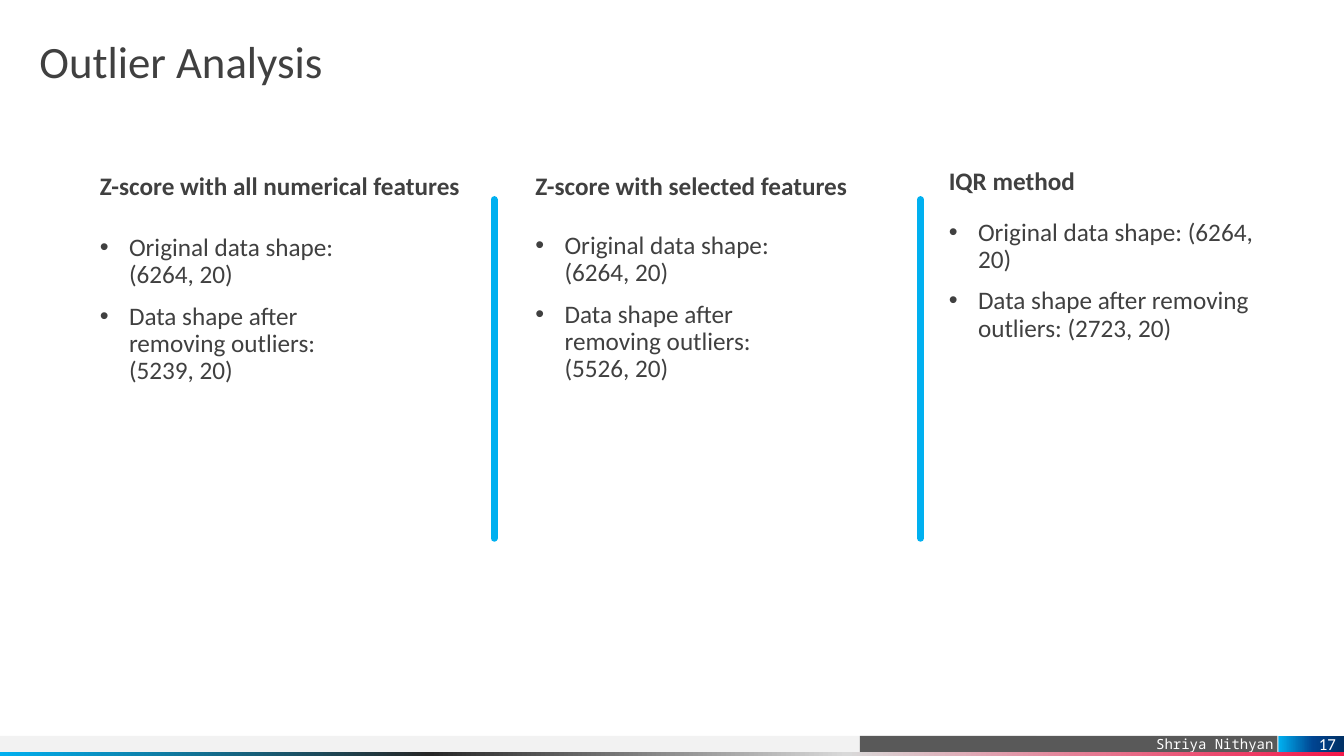
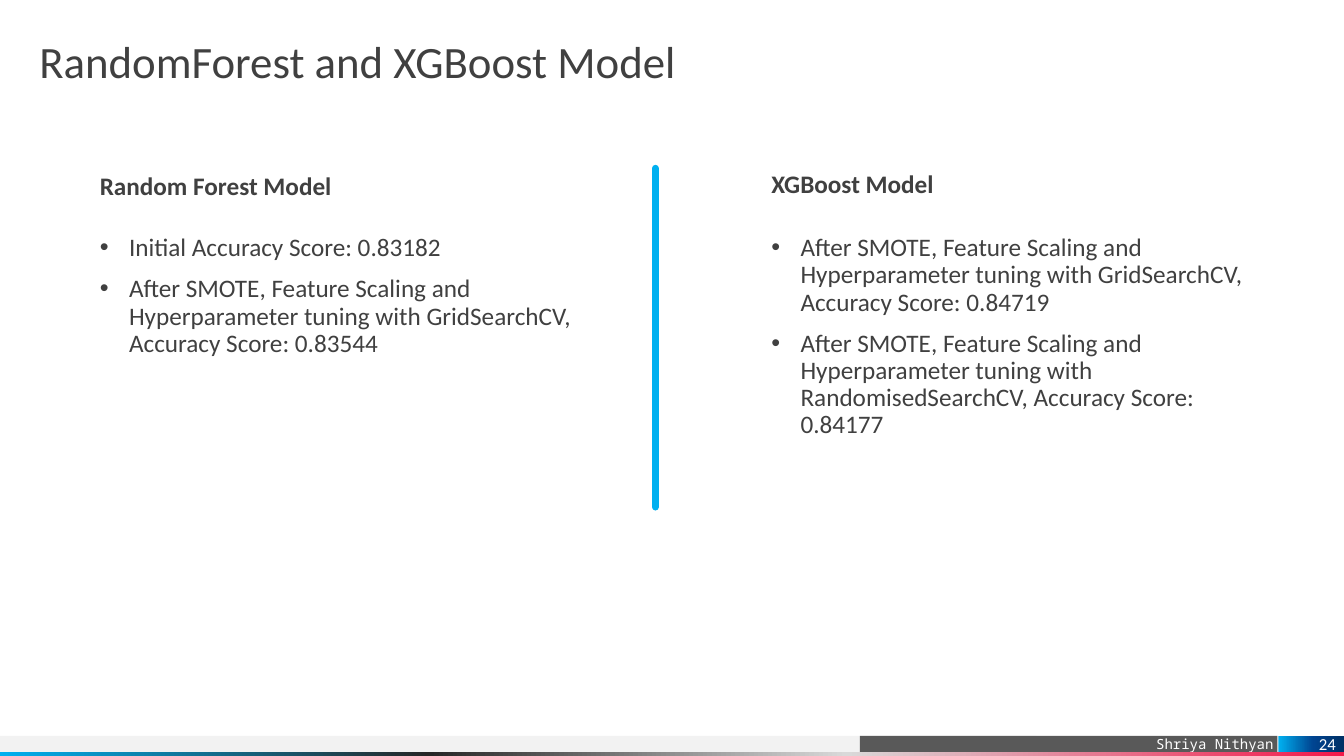
import dataclasses
from typing import Any

import lxml.etree
import pptx
import pptx.dml.color
import pptx.enum.shapes
import pptx.enum.text
import pptx.oxml.ns
import pptx.presentation
import pptx.shapes.autoshape
import pptx.slide
import pptx.text.text
import pptx.util

Inches = pptx.util.Inches
Pt = pptx.util.Pt
qn = pptx.oxml.ns.qn
Align = pptx.enum.text.PP_ALIGN
Anchor = pptx.enum.text.MSO_ANCHOR
Box = tuple[float, float, float, float]
Stops = tuple[tuple[int, str], ...]


@dataclasses.dataclass(frozen=True)
class Theme:
    font: str = "Calibri"
    mono: str = "Noto Sans Mono"
    text: str = "404040"
    white: str = "FFFFFF"
    accent: str = "00B0F0"
    light_band: str = "F2F2F2"
    dark_band: str = "595959"
    title_size: int = 32
    body_size: int = 18
    number_size: int = 12
    footer_size: int = 10
    rule_width: int = 5
    indent: float = 0.29
    strip: Stops = ((0, "00B0F0"), (32, "262626"), (63, "D9D9D9"), (100, "F2194A"))
    badge: Stops = ((0, "00B0F0"), (53, "004490"), (100, "003065"))


@dataclasses.dataclass(frozen=True)
class Column:
    heading: str
    bullets: tuple[str, ...]
    left: float
    heading_top: float
    heading_width: float
    body_top: float
    body_width: float
    body_height: float = 3.36


@dataclasses.dataclass(frozen=True)
class Page:
    title: str
    number: int
    columns: tuple[Column, ...]
    rules: tuple[float, ...]
    rule_top: float


THEME = Theme()
AUTHOR = "Shriya Nithyan"
RULE_HEIGHT = 3.36
BAND_TOP, BAND_HEIGHT = 7.3, 0.16
TUNED = "After SMOTE, Feature Scaling and Hyperparameter tuning with {}, Accuracy Score: {}"


def shape_bullets(rows: int) -> tuple[str, ...]:
    return (
        "Original data shape: (6264, 20)",
        f"Data shape after removing outliers: ({rows}, 20)",
    )


PAGES = (
    Page(
        "Outlier Analysis",
        17,
        (
            Column("Z-score with all numerical features", shape_bullets(5239),
                   0.99, 1.72, 3.7, 2.33, 2.47),
            Column("Z-score with selected features", shape_bullets(5526),
                   5.31, 1.72, 3.7, 2.31, 2.47),
            Column("IQR method", shape_bullets(2723),
                   9.41, 1.67, 3.18, 2.18, 3.18, 4.16),
        ),
        (4.9, 9.13),
        1.98,
    ),
    Page(
        "RandomForest and XGBoost Model",
        24,
        (
            Column("Random Forest Model",
                   ("Initial Accuracy Score: 0.83182", TUNED.format("GridSearchCV", "0.83544")),
                   0.99, 1.72, 3.7, 2.33, 4.96),
            Column("XGBoost Model",
                   (TUNED.format("GridSearchCV", "0.84719"),
                    TUNED.format("RandomisedSearchCV", "0.84177")),
                   7.65, 1.7, 4.83, 2.33, 4.96),
        ),
        (6.5,),
        1.67,
    ),
)


def rgb(value: str) -> pptx.dml.color.RGBColor:
    return pptx.dml.color.RGBColor.from_string(value)


def apply(target: Any, values: dict[str, Any]) -> None:
    for name, value in values.items():
        setattr(target, name, value)


def place(box: Box) -> dict[str, int]:
    return dict(zip(("left", "top", "width", "height"), map(Inches, box)))


def set_frame(tf: pptx.text.text.TextFrame, anchor: Anchor = Anchor.TOP,
              left: float = 0, right: float = 0) -> None:
    apply(tf, {
        "word_wrap": True,
        "auto_size": pptx.enum.text.MSO_AUTO_SIZE.NONE,
        "vertical_anchor": anchor,
        "margin_left": Inches(left),
        "margin_right": Inches(right),
        "margin_top": 0,
        "margin_bottom": 0,
    })


def write(p: Any, text: str, size: int, color: str = THEME.text, font: str = THEME.font,
          bold: bool = False, **layout: Any) -> None:
    apply(p, {"alignment": Align.LEFT} | layout)
    r = p.add_run()
    r.text = text
    apply(r.font, {"name": font, "size": Pt(size), "bold": bold})
    r.font.color.rgb = rgb(color)


def add_bullet(p: Any) -> None:
    pPr = p._p.get_or_add_pPr()
    pPr.set("marL", str(Inches(THEME.indent)))
    pPr.set("indent", str(-Inches(THEME.indent)))
    lxml.etree.SubElement(pPr, qn("a:buFont"), typeface="Arial")
    lxml.etree.SubElement(pPr, qn("a:buChar"), char="•")


def add_text(slide: pptx.slide.Slide, box: Box, lines: tuple[str, ...],
             bold: bool = False, bulleted: bool = False) -> None:
    tf = slide.shapes.add_textbox(*place(box).values()).text_frame
    set_frame(tf)
    for i, line in enumerate(lines):
        p = tf.add_paragraph() if i else tf.paragraphs[0]
        write(p, line, THEME.body_size, bold=bold, line_spacing=0.9, space_before=Pt(10))
        if bulleted:
            add_bullet(p)


def add_band(slide: pptx.slide.Slide, box: Box, fill: str | Stops) -> pptx.shapes.autoshape.Shape:
    sp = slide.shapes.add_shape(pptx.enum.shapes.MSO_SHAPE.RECTANGLE, *place(box).values())
    sp.shadow.inherit = False
    sp.line.fill.background()
    if isinstance(fill, str):
        sp.fill.solid()
        sp.fill.fore_color.rgb = rgb(fill)
        return sp
    sp.fill.gradient()
    sp.fill.gradient_angle = 0
    stops = sp.element.spPr.find(qn("a:gradFill")).find(qn("a:gsLst"))
    for stop in list(stops):
        stops.remove(stop)
    for position, color in fill:
        stop = lxml.etree.SubElement(stops, qn("a:gs"), pos=str(position * 1000))
        lxml.etree.SubElement(stop, qn("a:srgbClr"), val=color)
    return sp


def add_rule(slide: pptx.slide.Slide, x: float, top: float) -> None:
    line = slide.shapes.add_connector(
        pptx.enum.shapes.MSO_CONNECTOR.STRAIGHT,
        Inches(x), Inches(top), Inches(x), Inches(top + RULE_HEIGHT))
    line.line.color.rgb = rgb(THEME.accent)
    line.line.width = Pt(THEME.rule_width)
    spPr = line.element.spPr
    spPr.find(qn("a:ln")).set("cap", "rnd")
    lxml.etree.SubElement(spPr, qn("a:effectLst"))


def add_footer(slide: pptx.slide.Slide, number: int) -> None:
    add_band(slide, (-0.01, BAND_TOP, 10.29, BAND_HEIGHT), THEME.light_band)
    author = add_band(slide, (8.53, BAND_TOP, 4.14, BAND_HEIGHT), THEME.dark_band)
    add_band(slide, (-0.01, BAND_TOP + BAND_HEIGHT, 13.34, 0.04), THEME.strip)
    badge = add_band(slide, (12.68, BAND_TOP, 0.65, BAND_HEIGHT), THEME.badge)
    set_frame(author.text_frame, Anchor.BOTTOM, 0.1, 0.04)
    set_frame(badge.text_frame, Anchor.MIDDLE, 0, 0.08)
    write(author.text_frame.paragraphs[0], AUTHOR, THEME.footer_size, THEME.white,
          THEME.mono, alignment=Align.RIGHT)
    write(badge.text_frame.paragraphs[0], str(number), THEME.number_size, THEME.white,
          alignment=Align.RIGHT)


def add_page(prs: pptx.presentation.Presentation, page: Page) -> None:
    slide = prs.slides.add_slide(prs.slide_layouts.get_by_name("Title Only"))
    add_footer(slide, page.number)
    title = slide.shapes.title
    apply(title, place((0.39, 0.39, 12.55, 0.59)))
    set_frame(title.text_frame)
    write(title.text_frame.paragraphs[0], page.title, THEME.title_size, line_spacing=0.9)
    for col in page.columns:
        add_text(slide, (col.left, col.heading_top, col.heading_width, 0.59),
                 (col.heading,), bold=True)
        add_text(slide, (col.left, col.body_top, col.body_width, col.body_height),
                 col.bullets, bulleted=True)
    for x in page.rules:
        add_rule(slide, x, page.rule_top)


def main() -> None:
    prs = pptx.Presentation()
    apply(prs, {"slide_width": Inches(13.33), "slide_height": Inches(7.5)})
    for page in PAGES:
        add_page(prs, page)
    prs.save("out.pptx")


if __name__ == "__main__":
    main()
